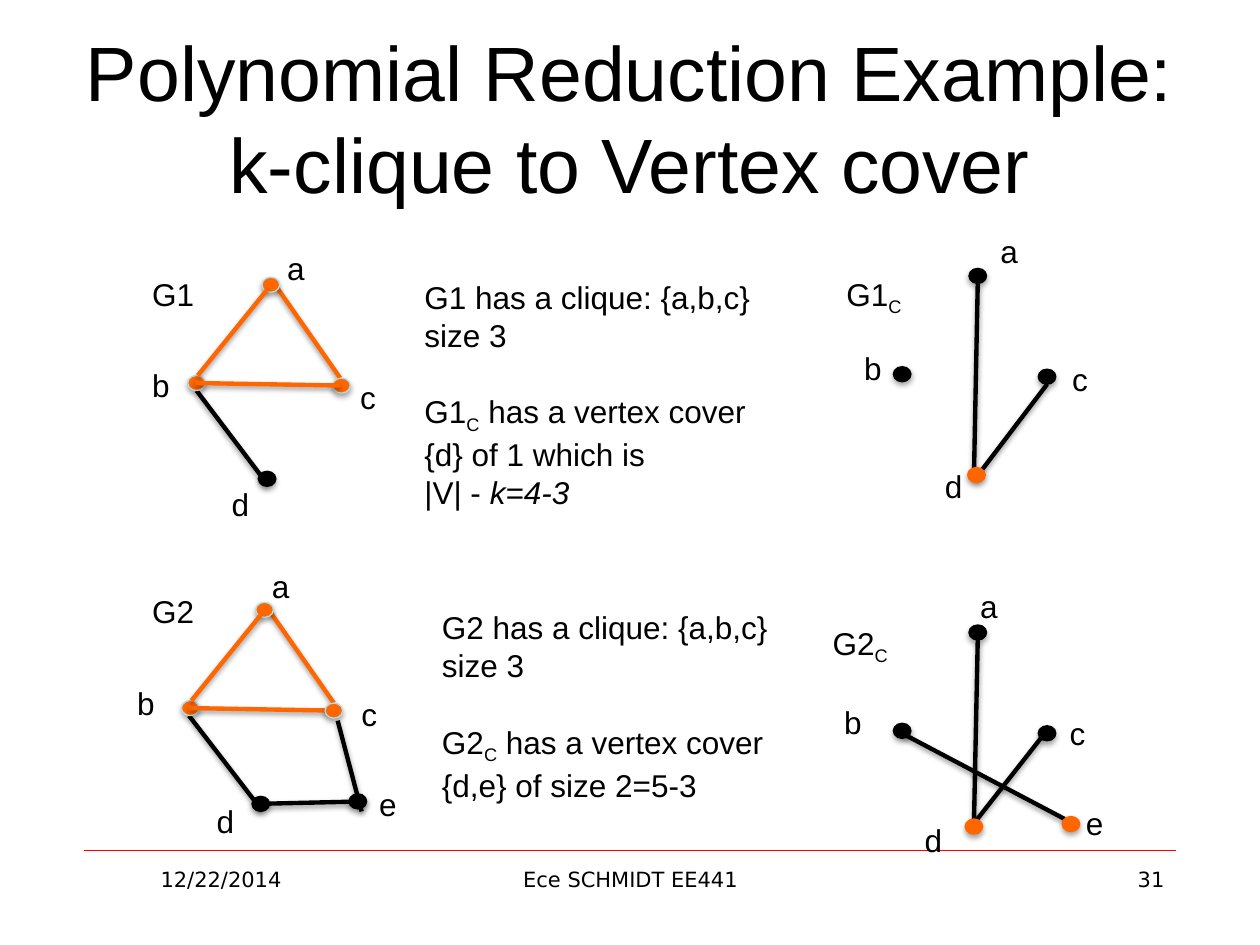
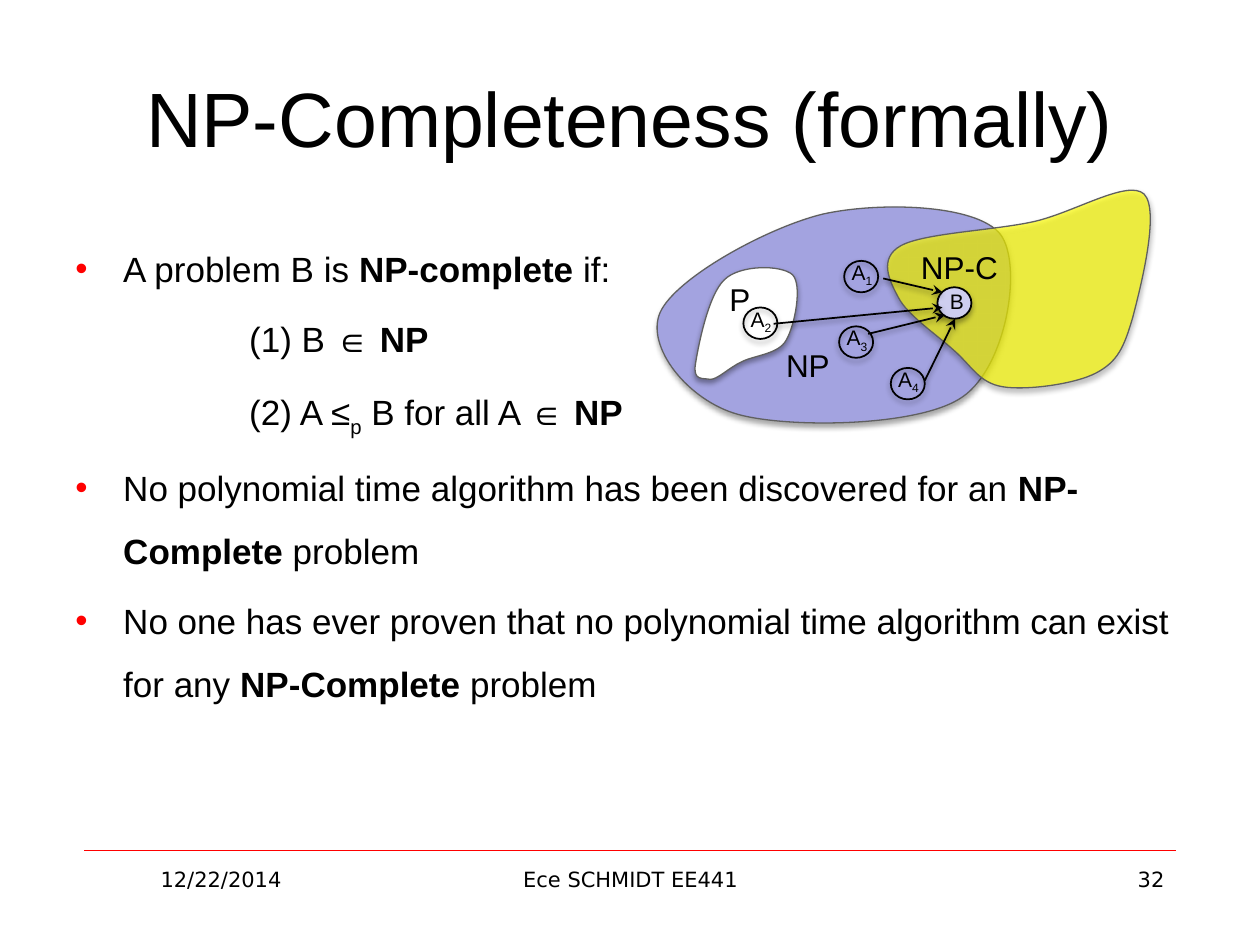
from lxml import etree
from pptx import Presentation
from pptx.dml.color import RGBColor
from pptx.enum.shapes import MSO_CONNECTOR, MSO_SHAPE
from pptx.enum.text import MSO_ANCHOR, PP_ALIGN
from pptx.oxml.ns import qn
from pptx.util import Cm, Pt

LINE = MSO_CONNECTOR.STRAIGHT
OVAL = MSO_SHAPE.OVAL
MIDDLE = MSO_ANCHOR.MIDDLE
LEFT, CENTER, RIGHT = PP_ALIGN.LEFT, PP_ALIGN.CENTER, PP_ALIGN.RIGHT

FONT, FOOT_FONT = "Arial", "DejaVu Sans"
BLACK, WHITE, RED = "000000", "FFFFFF", "FF0000"
ORANGE, PALE, GREY = "FF6600", "B6DCDF", "606060"
BLUE, LILAC, YELLOW = "A3A3E0", "CECEEF", "FFFF00"
DOT = (0.14, 0.12)
RING = (0.27, 0.25)

# Order lists nodes and edges from back to front.
# Each node: left and top of its dot, then left and top of its label.
GRAPHS = [
    dict(name=["G1"], place=(1.11, 2.13, 0.63, 0.4), hot="abc", rim=PALE,
         order="ac bd a b d c ab bc",
         edges={"ac": (2.19, 2.27, 2.7, 3), "bd": (1.56, 3.1, 2.12, 3.84),
                "ab": (2.12, 2.3, 1.57, 2.98), "bc": (2.7, 3.06, 1.55, 3.04)},
         nodes={"a": (2.08, 2.2, 2.18, 1.93), "b": (1.49, 2.98, 1.11, 2.86),
                "c": (2.64, 3, 2.76, 2.95), "d": (2.05, 3.74, 1.74, 3.8)}),
    dict(name=["G1", ("C", "sub")], place=(6.62, 2.13, 0.66, 0.4), hot="d",
         rim=ORANGE, order="cd ad a b d c",
         edges={"cd": (8.31, 3.05, 7.74, 3.8), "ad": (7.76, 2.25, 7.73, 3.77)},
         nodes={"a": (7.69, 2.13, 7.84, 1.79), "b": (7.09, 2.91, 6.76, 2.72),
                "c": (8.24, 2.93, 8.41, 2.81), "d": (7.68, 3.71, 7.4, 3.66)}),
    dict(name=["G2"], place=(1.11, 4.65, 0.89, 0.4), hot="abc", rim=PALE,
         order="ac bd a b d ab bc e de ce c",
         edges={"ac": (2.14, 4.85, 2.65, 5.58), "bd": (1.5, 5.68, 2.07, 6.42),
                "ab": (2.07, 4.88, 1.52, 5.56), "bc": (2.65, 5.64, 1.5, 5.62),
                "de": (2.05, 6.38, 2.91, 6.36), "ce": (2.68, 5.72, 2.87, 6.44)},
         nodes={"a": (2.03, 4.78, 2.06, 4.45), "b": (1.44, 5.56, 0.99, 5.38),
                "c": (2.58, 5.58, 2.77, 5.47), "d": (2, 6.32, 1.62, 6.32),
                "e": (2.77, 6.3, 2.91, 6.18)}),
    dict(name=["G2", ("C", "sub")], place=(6.51, 4.9, 0.89, 0.4), hot="de",
         rim=ORANGE, order="be a b cd ad c d e",
         edges={"be": (7.14, 5.81, 8.45, 6.5), "cd": (7.71, 6.56, 8.26, 5.86),
                "ad": (7.76, 5.08, 7.73, 6.53)},
         nodes={"a": (7.69, 4.96, 7.68, 4.61), "b": (7.09, 5.74, 6.6, 5.53),
                "c": (8.24, 5.76, 8.39, 5.62), "d": (7.66, 6.5, 7.24, 6.47),
                "e": (8.43, 6.48, 8.52, 6.33)}),
]

# Each outline: start point, then curves of two handles and an end point.
NP_SET = [(6.53, 1.7),
          (6.98, 1.6, 7.75, 1.62, 7.94, 1.86), (8.12, 2.1, 7.99, 2.91, 7.64, 3.15),
          (7.3, 3.39, 6.26, 3.4, 5.86, 3.29), (5.46, 3.18, 5.12, 2.75, 5.24, 2.48),
          (5.36, 2.21, 6.08, 1.81, 6.53, 1.7)]
P_SET = [(5.52, 2.89),
         (5.54, 2.76, 5.62, 2.34, 5.75, 2.22), (5.87, 2.1, 6.2, 2.1, 6.29, 2.18),
         (6.37, 2.26, 6.31, 2.58, 6.24, 2.7), (6.18, 2.81, 5.99, 2.82, 5.89, 2.87),
         (5.78, 2.92, 5.69, 3.02, 5.63, 3.01), (5.57, 3, 5.5, 3.02, 5.52, 2.89)]
NPC_SET = [(7.57, 2.78),
           (7.71, 2.9, 7.77, 3.04, 7.96, 3.07), (8.14, 3.1, 8.53, 3.05, 8.7, 2.96),
           (8.87, 2.87, 8.92, 2.76, 8.99, 2.52), (9.05, 2.29, 9.21, 1.67, 9.08, 1.54),
           (8.95, 1.42, 8.52, 1.69, 8.2, 1.76), (7.88, 1.83, 7.33, 1.85, 7.15, 1.95),
           (6.97, 2.05, 7.06, 2.23, 7.13, 2.36), (7.2, 2.5, 7.44, 2.66, 7.57, 2.78)]

# Each problem: number, left and top of its ring, both ends of its arrow to B.
PROBLEMS = [
    ("2", 5.9, 2.44, (6.14, 2.57, 7.48, 2.44)),
    ("1", 6.7, 2.07, (7.01, 2.21, 7.48, 2.32)),
    ("3", 6.66, 2.59, (6.89, 2.65, 7.5, 2.5)),
    ("4", 7.07, 2.92, (7.34, 3.02, 7.58, 2.53)),
]

POINTS = [
    (True, ["A problem B is ", ("NP-complete", "bold"), " if:"]),
    (False, ["(1) B ∈ ", ("NP", "bold")]),
    (False, ["(2) A ≤", ("p", "sub"), " B for all A ∈ ", ("NP", "bold")]),
    (True, ["No polynomial time algorithm has been discovered for an ",
            ("NP-Complete", "bold"), " problem"]),
    (True, ["No one has ever proven that no polynomial time algorithm can "
            "exist for any ", ("NP-Complete", "bold"), " problem"]),
]


def units(*inches):
    """Lengths on the slide from inches."""
    return [Cm(2.54 * n) for n in inches]


def color(code):
    return RGBColor.from_string(code)


def shade(shape, alpha, drop):
    """Add a soft shadow below the shape; call it after the line is set."""
    box = etree.SubElement(shape._element.spPr, qn("a:effectLst"))
    cast = etree.SubElement(box, qn("a:outerShdw"), blurRad=str(Pt(3.1)),
                            dist=str(Pt(drop)), dir="5400000", rotWithShape="0")
    tint = etree.SubElement(cast, qn("a:srgbClr"), val=BLACK)
    etree.SubElement(tint, qn("a:alpha"), val=str(alpha * 1000))


def paint(shape, fill, rim, width):
    if fill:
        shape.fill.solid()
        shape.fill.fore_color.rgb = color(fill)
    else:
        shape.fill.background()
    shape.line.color.rgb = color(rim)
    shape.line.width = Pt(width)
    shade(shape, 35, 1.8)


def style(run, size, font, look):
    run.font.size = Pt(size)
    run.font.name = font
    run.font.color.rgb = color(BLACK)
    if look == "sub":
        run._r.get_or_add_rPr().set("baseline", "-25000")
    elif look == "bold":
        run.font.bold = True
    elif look == "italic":
        run.font.italic = True


def write(para, parts, size=18, font=FONT):
    """Fill a paragraph with plain strings and (text, look) pairs."""
    for part in parts:
        text, look = (part, "") if isinstance(part, str) else part
        run = para.add_run()
        run.text = text
        style(run, size, font, look)


def indent(para, left, hang=0):
    props = para._p.get_or_add_pPr()
    for key, size in zip(("marL", "indent"), units(left, hang)):
        props.set(key, str(size))
    return props


def frame(shapes, place):
    text = shapes.add_textbox(*units(*place)).text_frame
    text.word_wrap = True
    return text


def paras(text, rows):
    """Yield a paragraph of the frame with each row."""
    for index, row in enumerate(rows):
        yield (text.add_paragraph() if index else text.paragraphs[0]), row


def label(shapes, place, parts, size=18, font=FONT, align=LEFT, wrap=True):
    text = frame(shapes, place)
    text.word_wrap = wrap
    text.paragraphs[0].alignment = align
    write(text.paragraphs[0], parts, size, font)


def line(shapes, ends, tint, width):
    link = shapes.add_connector(LINE, *units(*ends))
    link.line.color.rgb = color(tint)
    link.line.width = Pt(width)
    return link


def arrow(shapes, ends):
    link = line(shapes, ends, BLACK, 1)
    etree.SubElement(link._element.spPr.find(qn("a:ln")), qn("a:tailEnd"),
                     type="stealth")
    shade(link, 38, 1.6)


def oval(shapes, spot, size, fill, rim, width):
    paint(shapes.add_shape(OVAL, *units(*spot, *size)), fill, rim, width)


def blob(shapes, outline, fill):
    """Draw a closed outline of cubic curves."""
    start, *curves = outline
    pen = shapes.build_freeform(*units(*start))
    pen.add_line_segments([units(*curve[i:i + 2]) for curve in curves
                           for i in (0, 2, 4)], close=True)
    shape = pen.convert_to_shape()
    route = shape._element.spPr.find(".//" + qn("a:path"))
    steps = route.findall(qn("a:lnTo"))
    for i in range(0, len(steps), 3):
        curve = etree.SubElement(route, qn("a:cubicBezTo"))
        for step in steps[i:i + 3]:
            curve.append(step[0])
            route.remove(step)
    route.append(route.find(qn("a:close")))
    paint(shape, fill, GREY, 0.75)
    return shape


def fade(shape, alpha):
    tint = shape._element.spPr.find(f"{qn('a:solidFill')}/{qn('a:srgbClr')}")
    etree.SubElement(tint, qn("a:alpha"), val=str(alpha * 1000))


def graph(slide, name, place, hot, rim, order, edges, nodes):
    shapes = slide.shapes.add_group_shape().shapes
    for key in order.split():
        warm = all(node in hot for node in key)
        tint = ORANGE if warm else BLACK
        if key in edges:
            shade(line(shapes, edges[key], tint, 2.5), 38, 1.6)
        else:
            oval(shapes, nodes[key][:2], DOT, tint, rim if warm else BLACK, 0.75)
    label(shapes, place, name, wrap=place[2] != 0.66)
    for key, node in nodes.items():
        label(shapes, (*node[2:], 0.51, 0.4), [key])


def claim(slide, place, rows):
    """Text on a graph, with a gap before its second paragraph."""
    for para, parts in paras(frame(slide.shapes, place), rows):
        indent(para, 0.5)
        if parts is rows[1]:
            para.space_before = Pt(22)
        write(para, parts)


def bullets(slide):
    text = frame(slide.shapes, (0.5, 1.75, 9, 4.95))
    for para, (dot, parts) in paras(text, POINTS):
        para.line_spacing = 1.5
        para.space_before = Pt(4)
        write(para, parts, 20)
        if dot:
            props = indent(para, 0.38, -0.38)
            tint = etree.SubElement(props, qn("a:buClr"))
            etree.SubElement(tint, qn("a:srgbClr"), val=RED)
            etree.SubElement(props, qn("a:buFont"), typeface=FONT)
            etree.SubElement(props, qn("a:buChar"), char="•")
        else:
            indent(para, 1.38)


def sets(slide):
    """Draw P, NP and NP-C with the problems that reduce to B."""
    shapes = slide.shapes.add_group_shape().shapes
    blob(shapes, NP_SET, BLUE)
    blob(shapes, P_SET, WHITE)
    label(shapes, (5.69, 2.17, 0.6, 0.4), ["P"])
    label(shapes, (6.14, 2.7, 0.9, 0.4), ["NP"])
    fade(blob(shapes, NPC_SET, YELLOW), 67)
    label(shapes, (7.21, 1.92, 0.82, 0.4), ["NP-C"], wrap=False)
    for number, x, y, _ in PROBLEMS:
        oval(shapes, (x, y), RING, None, BLACK, 1)
        label(shapes, (x - 0.04, y - 0.06, 0.41, 0.3), ["A", (number, "sub")], 12)
    oval(shapes, (7.44, 2.28), RING, LILAC, BLACK, 1)
    label(shapes, (7.44, 2.24, 0.27, 0.44), ["B"], 12)
    for *_, ends in PROBLEMS:
        arrow(shapes, ends)


def rule(deck, slide):
    """Draw the footer rule once and hand it to the master."""
    link = line(slide.shapes, (0.67, 6.75, 9.33, 6.75), RED, 0.25)
    etree.SubElement(link._element.spPr, qn("a:effectLst"))
    deck.slide_master.shapes._spTree.append(link._element)


def page(deck, title, number):
    """Add a slide with its title and footers."""
    slide = deck.slides.add_slide(deck.slide_layouts[5])
    head = slide.shapes.title
    head.left, head.top, head.width, head.height = units(0.5, 0.3, 9, 1.25)
    head.text_frame.text = title
    head.text_frame.vertical_anchor = MIDDLE
    para = head.text_frame.paragraphs[0]
    para.alignment = CENTER
    style(para.runs[0], 44, FONT, "")
    for left, width, text, align in ((0.67, 2.17, "12/22/2014", CENTER),
                                     (3.42, 3.17, "Ece SCHMIDT EE441", CENTER),
                                     (7.17, 2.17, str(number), RIGHT)):
        label(slide.shapes, (left, 6.83, width, 0.52), [text], 12, FOOT_FONT, align)
    return slide


def main():
    deck = Presentation()
    deck.slide_width, deck.slide_height = Cm(25.4), Cm(19.05)
    slide = page(deck, "Polynomial Reduction Example: k-clique to Vertex cover", 31)
    rule(deck, slide)
    for item in GRAPHS:
        graph(slide, **item)
    claim(slide, (2.77, 2.16, 3.34, 1.92),
          [["G1 has a clique: {a,b,c} size 3"],
           ["G1", ("C", "sub"), " has a vertex cover {d} of 1 which is"],
           ["|V| - ", ("k=4-3", "italic")]])
    claim(slide, (2.91, 4.78, 3.74, 1.62),
          [["G2 has a clique: {a,b,c} size 3"],
           ["G2", ("C", "sub"), " has a vertex cover {d,e} of size 2=5-3"]])
    slide = page(deck, "NP-Completeness (formally)", 32)
    bullets(slide)
    sets(slide)
    deck.save("out.pptx")


if __name__ == "__main__":
    main()
